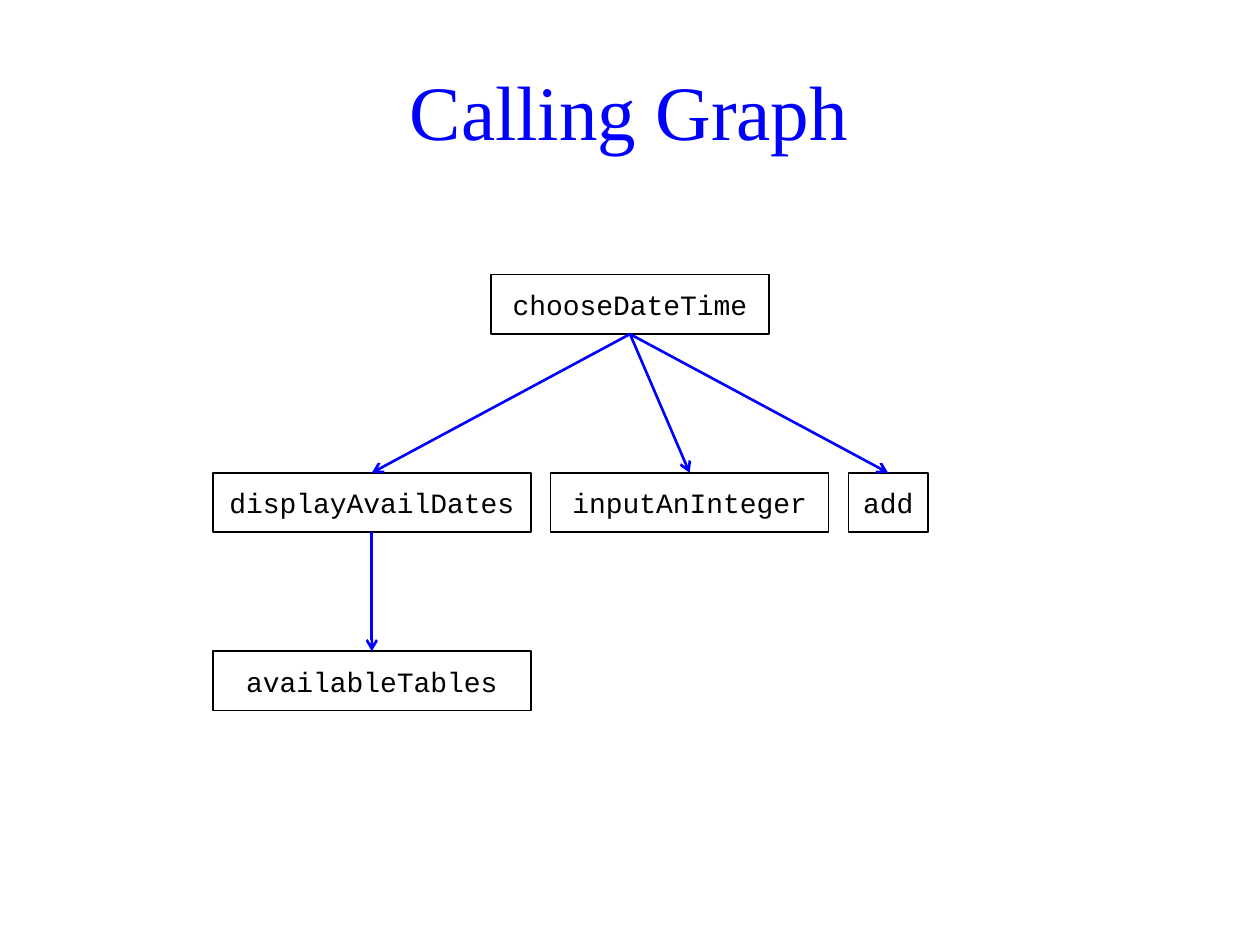
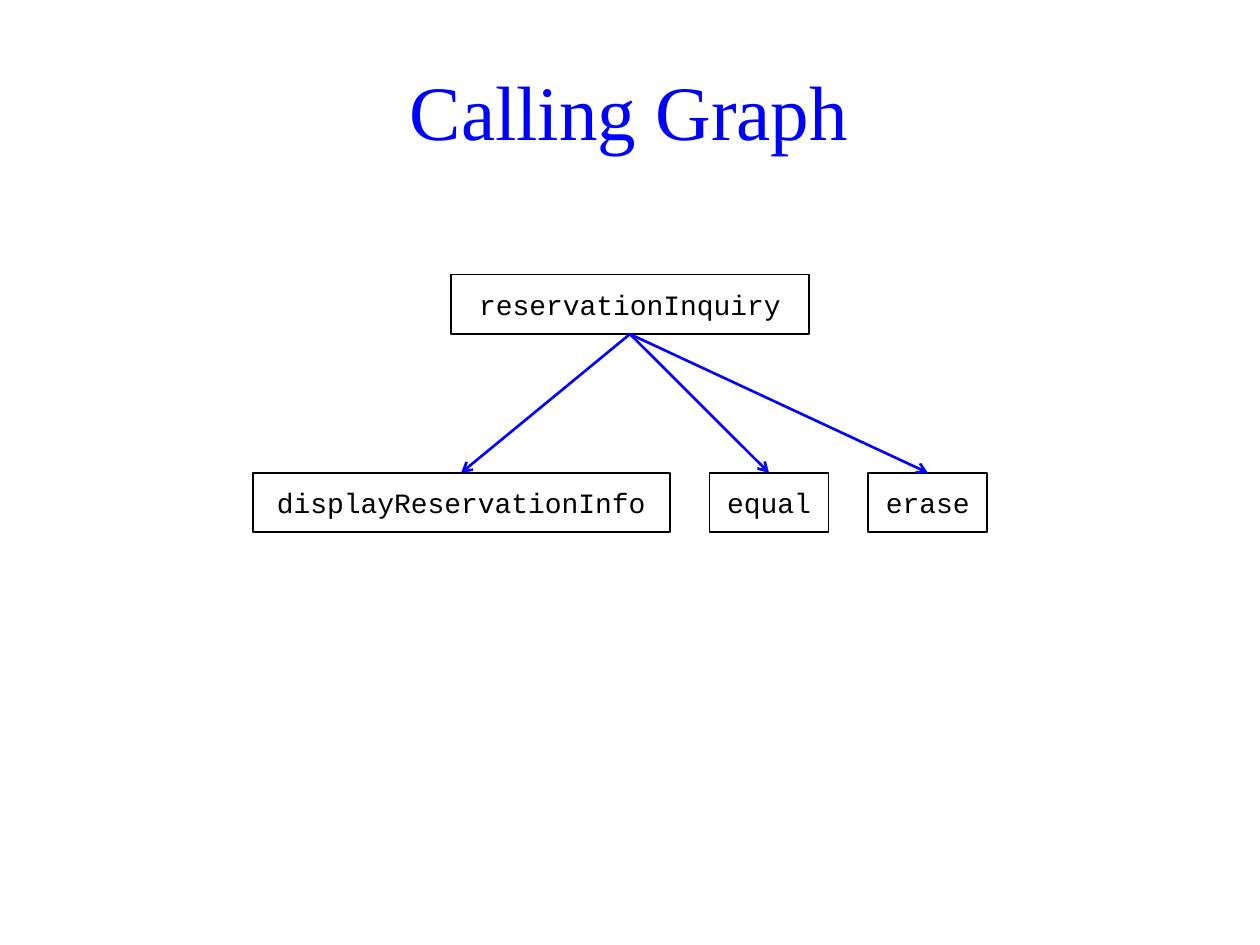
from lxml import etree
from pptx import Presentation
from pptx.dml.color import RGBColor
from pptx.enum.shapes import MSO_CONNECTOR, MSO_SHAPE
from pptx.enum.text import MSO_ANCHOR, PP_ALIGN
from pptx.oxml.ns import qn
from pptx.util import Inches, Pt

RECTANGLE = MSO_SHAPE.RECTANGLE
STRAIGHT = MSO_CONNECTOR.STRAIGHT
MIDDLE = MSO_ANCHOR.MIDDLE
CENTER = PP_ALIGN.CENTER

COLORS = {"accent": "0000FF", "ink": "000000", "paper": "FFFFFF"}
TITLE_FONT, CODE_FONT = "Times New Roman", "Courier New"
BLANK_LAYOUT = 6

# Regions in inches: left, top, width, height
TITLE_BOX = (0.43, 0.29, 9.13, 1.26)
GRAPH_BOX = (1.69, 2.18, 6.62, 3.46)

# The graph region is a grid; every function box is three rows high
COLUMNS, ROWS, BOX_ROWS = 42, 22, 3
TOP_SITE, BOTTOM_SITE = 0, 2  # connection sites of a rectangle

# Each function: name, first column, first row, width in columns
GRAPHS = [
    {
        "functions": [
            ("chooseDateTime", 14, 0, 14),
            ("displayAvailDates", 0, 10, 16),
            ("inputAnInteger", 17, 10, 14),
            ("add", 32, 10, 4),
            ("availableTables", 0, 19, 16),
        ],
        "calls": [
            ("chooseDateTime", "displayAvailDates"),
            ("chooseDateTime", "inputAnInteger"),
            ("chooseDateTime", "add"),
            ("displayAvailDates", "availableTables"),
        ],
    },
    {
        "functions": [
            ("reservationInquiry", 12, 0, 18),
            ("displayReservationInfo", 2, 10, 21),
            ("equal", 25, 10, 6),
            ("erase", 33, 10, 6),
        ],
        "calls": [
            ("reservationInquiry", "displayReservationInfo"),
            ("reservationInquiry", "equal"),
            ("reservationInquiry", "erase"),
        ],
    },
]


def color(name):
    return RGBColor.from_string(COLORS[name])


def write_text(shape, text, font, size, color_name):
    """Put one centred line of text in the middle of a shape."""
    frame = shape.text_frame
    frame.vertical_anchor = MIDDLE
    paragraph = frame.paragraphs[0]
    paragraph.alignment = CENTER
    run = paragraph.add_run()
    run.text = text
    run.font.name = font
    run.font.size = Pt(size)
    run.font.color.rgb = color(color_name)
    return paragraph


def add_title(slide, box, text):
    shape = slide.shapes.add_textbox(*map(Inches, box))
    shape.text_frame.word_wrap = True
    paragraph = write_text(shape, text, TITLE_FONT, 44, "accent")
    paragraph.line_spacing = 0.9


def add_function(slide, box, name):
    shape = slide.shapes.add_shape(RECTANGLE, *map(Inches, box))
    shape.shadow.inherit = False
    shape.fill.solid()
    shape.fill.fore_color.rgb = color("paper")
    shape.line.color.rgb = color("ink")
    shape.line.width = Pt(1)
    shape.text_frame.word_wrap = False
    write_text(shape, name, CODE_FONT, 16, "ink")
    return shape


def add_call(slide, caller, callee):
    """Draw an arrow from the bottom of the caller to the top of the callee."""
    connector = slide.shapes.add_connector(STRAIGHT, 0, 0, 0, 0)
    connector.begin_connect(caller, BOTTOM_SITE)
    connector.end_connect(callee, TOP_SITE)
    connector.line.color.rgb = color("accent")
    connector.line.width = Pt(1.5)
    etree.SubElement(connector.line._get_or_add_ln(), qn("a:tailEnd"), type="arrow")
    etree.SubElement(connector._element.spPr, qn("a:effectLst"))


def add_graph(slide, box, graph):
    left, top, width, height = box
    column, row = width / COLUMNS, height / ROWS
    shapes = {}
    for name, first_column, first_row, columns in graph["functions"]:
        function_box = (left + first_column * column, top + first_row * row,
                        columns * column, BOX_ROWS * row)
        shapes[name] = add_function(slide, function_box, name)
    for caller, callee in graph["calls"]:
        add_call(slide, shapes[caller], shapes[callee])


def add_graph_slide(presentation, graph):
    slide = presentation.slides.add_slide(presentation.slide_layouts[BLANK_LAYOUT])
    slide.background.fill.solid()
    slide.background.fill.fore_color.rgb = color("paper")
    add_title(slide, TITLE_BOX, "Calling Graph")
    add_graph(slide, GRAPH_BOX, graph)


presentation = Presentation()
presentation.slide_width = Inches(10)
presentation.slide_height = Inches(7.5)
for calling_graph in GRAPHS:
    add_graph_slide(presentation, calling_graph)
presentation.save("out.pptx")
